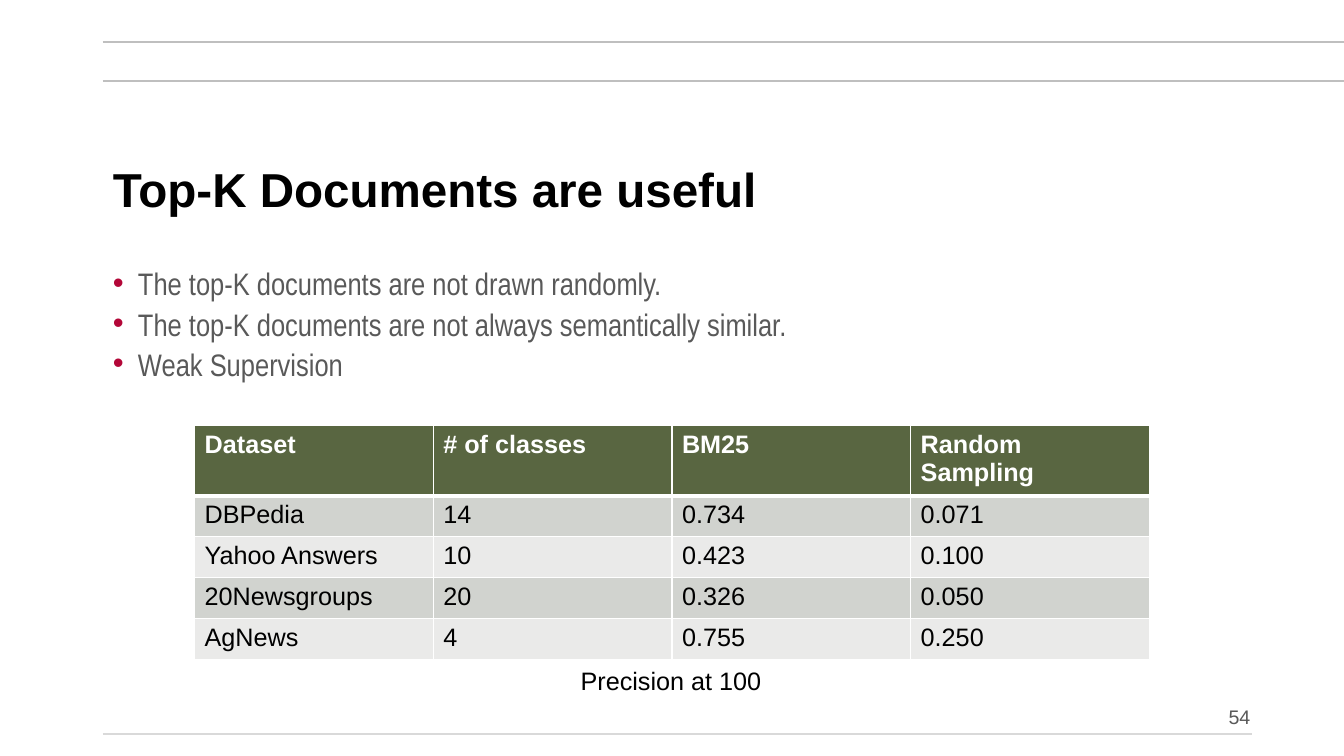
from pptx import Presentation
from pptx.dml.color import RGBColor
from pptx.enum.shapes import MSO_CONNECTOR as Connector
from pptx.enum.text import MSO_ANCHOR as Anchor, PP_ALIGN as Align
from pptx.oxml.ns import qn
from pptx.util import Inches, Pt
from lxml.etree import SubElement

COLORS = {
    "black": "000000", "white": "FFFFFF", "text": "595959",
    "bullet": "B30738", "rule": "BFBFBF", "footer_rule": "D9D9D9",
    "header": "596641", "odd_row": "D1D3CF", "even_row": "EAEAE9",
}


def rgb(name):
    return RGBColor.from_string(COLORS[name])


class SlideBuilder:
    """Holds the text style and the current slide."""

    font_name = "Arial"

    def __init__(self, presentation):
        self.slide = presentation.slides.add_slide(presentation.slide_layouts[5])

    def style(self, paragraph, size, color, bold=False, font_name=None):
        font = paragraph.font
        font.name = font_name or self.font_name
        font.size, font.bold = Pt(size), bold
        font.color.rgb = rgb(color)

    def rule(self, left, right, top, color):
        line = self.slide.shapes.add_connector(
            Connector.STRAIGHT, Inches(left), Inches(top), Inches(right), Inches(top))
        line.line.color.rgb = rgb(color)
        line.line.width = Pt(1.5)
        SubElement(line._element.spPr, qn("a:effectLst"))

    def title(self, text, left, top, width, height):
        shape = self.slide.shapes.title
        shape.left, shape.top = Inches(left), Inches(top)
        shape.width, shape.height = Inches(width), Inches(height)
        frame = shape.text_frame
        frame.text = text
        frame.word_wrap = True
        frame.vertical_anchor = Anchor.MIDDLE
        paragraph = frame.paragraphs[0]
        paragraph.alignment = Align.LEFT
        paragraph.line_spacing = 0.9
        self.style(paragraph, 34, "black", bold=True)

    def text_box(self, text, left, top, width, height, wrap=True):
        shape = self.slide.shapes.add_textbox(
            Inches(left), Inches(top), Inches(width), Inches(height))
        frame = shape.text_frame
        frame.word_wrap = wrap
        frame.text = text
        return frame

    def label(self, text, left, top, width, height, size, color,
              align=Align.LEFT, anchor=Anchor.TOP, wrap=True):
        frame = self.text_box(text, left, top, width, height, wrap)
        frame.vertical_anchor = anchor
        frame.paragraphs[0].alignment = align
        self.style(frame.paragraphs[0], size, color)

    def bullets(self, items, left, top, width, height):
        frame = self.text_box("\n".join(items), left, top, width, height)
        for index, paragraph in enumerate(frame.paragraphs):
            paragraph.line_spacing = 0.7
            if index:
                paragraph.space_before = Pt(10)
            properties = paragraph._p.get_or_add_pPr()
            properties.set("marL", str(Inches(0.25)))
            properties.set("indent", str(-Inches(0.25)))
            bullet_color = SubElement(properties, qn("a:buClr"))
            SubElement(bullet_color, qn("a:srgbClr"), val=COLORS["bullet"])
            SubElement(properties, qn("a:buFont"), typeface="Arial")
            SubElement(properties, qn("a:buChar"), char="•")
            self.style(paragraph, 22.2, "text", font_name="Arial Narrow")

    def borders(self, cell, is_header, below_header):
        properties = cell._tc.get_or_add_tcPr()
        for side in ("L", "R", "T", "B"):
            thick = (is_header and side == "B") or (below_header and side == "T")
            line = SubElement(properties, qn(f"a:ln{side}"), w=str(Pt(3 if thick else 1)))
            fill = SubElement(line, qn("a:solidFill"))
            SubElement(fill, qn("a:srgbClr"), val=COLORS["white"])

    def table(self, rows, left, top, width, header_height, row_height):
        height = header_height + row_height * (len(rows) - 1)
        table = self.slide.shapes.add_table(
            len(rows), len(rows[0]), Inches(left), Inches(top),
            Inches(width), Inches(height)).table
        for row_index, values in enumerate(rows):
            is_header = row_index == 0
            table.rows[row_index].height = Inches(header_height if is_header else row_height)
            band = "header" if is_header else "odd_row" if row_index % 2 else "even_row"
            for column_index, value in enumerate(values):
                cell = table.cell(row_index, column_index)
                cell.text = value
                self.borders(cell, is_header, row_index == 1)
                cell.fill.solid()
                cell.fill.fore_color.rgb = rgb(band)
                self.style(cell.text_frame.paragraphs[0], 18,
                           "white" if is_header else "black", bold=is_header)


def main():
    presentation = Presentation()
    presentation.slide_width, presentation.slide_height = Inches(13.33), Inches(7.5)
    builder = SlideBuilder(presentation)

    # Frame rules
    builder.rule(1.02, 13.33, 0.8, "rule")
    builder.rule(1.02, 13.33, 0.42, "rule")
    builder.rule(1.02, 12.42, 7.28, "footer_rule")

    # Title and key points
    builder.title("Top-K Documents are useful", 1.02, 1.28, 11.39, 1.25)
    builder.bullets([
        "The top-K documents are not drawn randomly.",
        "The top-K documents are not always semantically similar.",
        "Weak Supervision",
    ], 1.02, 2.68, 11.39, 1.55)

    # Precision table and its caption
    builder.table([
        ["Dataset", "# of classes", "BM25", "Random Sampling"],
        ["DBPedia", "14", "0.734", "0.071"],
        ["Yahoo Answers", "10", "0.423", "0.100"],
        ["20Newsgroups", "20", "0.326", "0.050"],
        ["AgNews", "4", "0.755", "0.250"],
    ], 1.93, 4.22, 9.47, 0.66, 0.405)
    builder.label("Precision at 100", 5.66, 6.55, 2.01, 0.4, 18, "black", wrap=False)

    # Page number
    builder.label("54", 8.26, 6.84, 4.24, 0.44, 14, "text",
                  align=Align.RIGHT, anchor=Anchor.BOTTOM)

    presentation.save("out.pptx")


if __name__ == "__main__":
    main()
